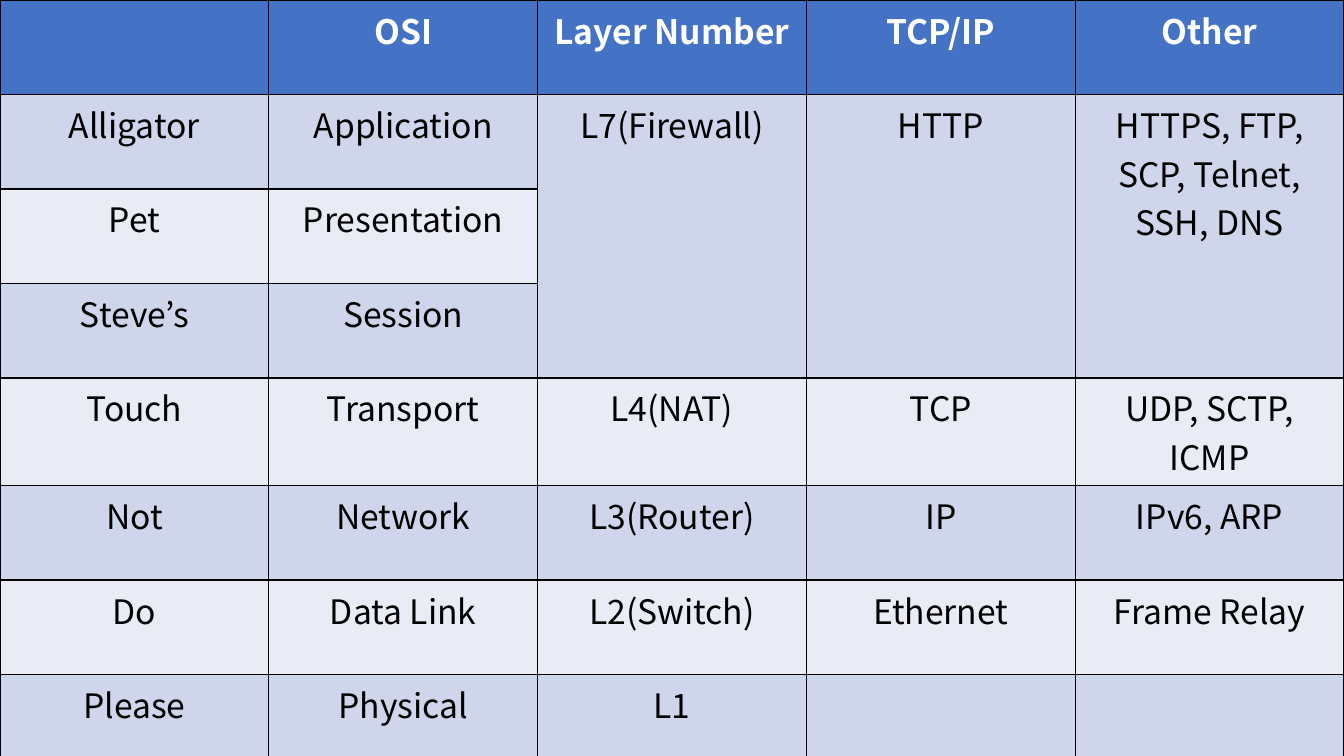
from dataclasses import dataclass

import pptx
import pptx.dml.color
import pptx.enum.text
import pptx.oxml
import pptx.oxml.ns
import pptx.table
import pptx.util
from pptx.util import Inches

RGBColor = pptx.dml.color.RGBColor


@dataclass(frozen=True)
class Theme:
    font: str = "Noto Sans CJK KR"
    text_size: int = 24
    border_width: int = 1
    border: str = "000000"
    header_fill: str = "4472C4"
    header_text: str = "FFFFFF"
    body_text: str = "000000"
    odd_fill: str = "CFD5EA"
    even_fill: str = "E9EBF5"


@dataclass(frozen=True)
class Layer:
    mnemonic: str
    osi: str
    number: str = ""
    tcp_ip: str = ""
    other: str = ""

    def texts(self) -> list[str]:
        return [self.mnemonic, self.osi, self.number, self.tcp_ip, self.other]


THEME = Theme()
SLIDE_WIDTH = Inches(13.33)
SLIDE_HEIGHT = Inches(7.5)
LAYERS = [
    Layer("", "OSI", "Layer Number", "TCP/IP", "Other"),
    Layer("Alligator", "Application", "L7(Firewall)", "HTTP",
          "HTTPS, FTP, SCP, Telnet, SSH, DNS"),
    Layer("Pet", "Presentation"),
    Layer("Steve’s", "Session"),
    Layer("Touch", "Transport", "L4(NAT)", "TCP", "UDP, SCTP, ICMP"),
    Layer("Not", "Network", "L3(Router)", "IP", "IPv6, ARP"),
    Layer("Do", "Data Link", "L2(Switch)", "Ethernet", "Frame Relay"),
    Layer("Please", "Physical", "L1"),
]
MERGED_ROWS = (1, 3)
MERGED_COLUMNS = (2, 3, 4)


def add_borders(cell: pptx.table._Cell) -> None:
    properties = cell._tc.get_or_add_tcPr()
    namespace = pptx.oxml.ns.nsdecls("a")
    width = pptx.util.Pt(THEME.border_width)
    for index, side in enumerate(("lnL", "lnR", "lnT", "lnB")):
        line = pptx.oxml.parse_xml(
            f'<a:{side} {namespace} w="{width}"><a:solidFill>'
            f'<a:srgbClr val="{THEME.border}"/></a:solidFill></a:{side}>')
        properties.insert(index, line)


def write_text(cell: pptx.table._Cell, text: str, is_header: bool) -> None:
    paragraph = cell.text_frame.paragraphs[0]
    paragraph.alignment = pptx.enum.text.PP_ALIGN.CENTER
    run = paragraph.add_run()
    run.text = text
    run.font.name = THEME.font
    run.font.size = pptx.util.Pt(THEME.text_size)
    run.font.bold = is_header
    color = THEME.header_text if is_header else THEME.body_text
    run.font.color.rgb = RGBColor.from_string(color)


def row_fill(row: int) -> str:
    if row == 0:
        return THEME.header_fill
    return THEME.odd_fill if row % 2 else THEME.even_fill


def add_layer_table(slide: pptx.slide.Slide) -> None:
    column_count = len(LAYERS[0].texts())
    table = slide.shapes.add_table(
        len(LAYERS), column_count, 0, 0, SLIDE_WIDTH, SLIDE_HEIGHT).table
    for row, layer in enumerate(LAYERS):
        for column, text in enumerate(layer.texts()):
            cell = table.cell(row, column)
            cell.fill.solid()
            cell.fill.fore_color.rgb = RGBColor.from_string(row_fill(row))
            add_borders(cell)
            if text:
                write_text(cell, text, is_header=row == 0)
    first_row, last_row = MERGED_ROWS
    for column in MERGED_COLUMNS:
        table.cell(first_row, column).merge(table.cell(last_row, column))


def main() -> None:
    presentation = pptx.Presentation()
    presentation.slide_width = SLIDE_WIDTH
    presentation.slide_height = SLIDE_HEIGHT
    blank_layout = presentation.slide_layouts[6]
    add_layer_table(presentation.slides.add_slide(blank_layout))
    presentation.save("out.pptx")


if __name__ == "__main__":
    main()
